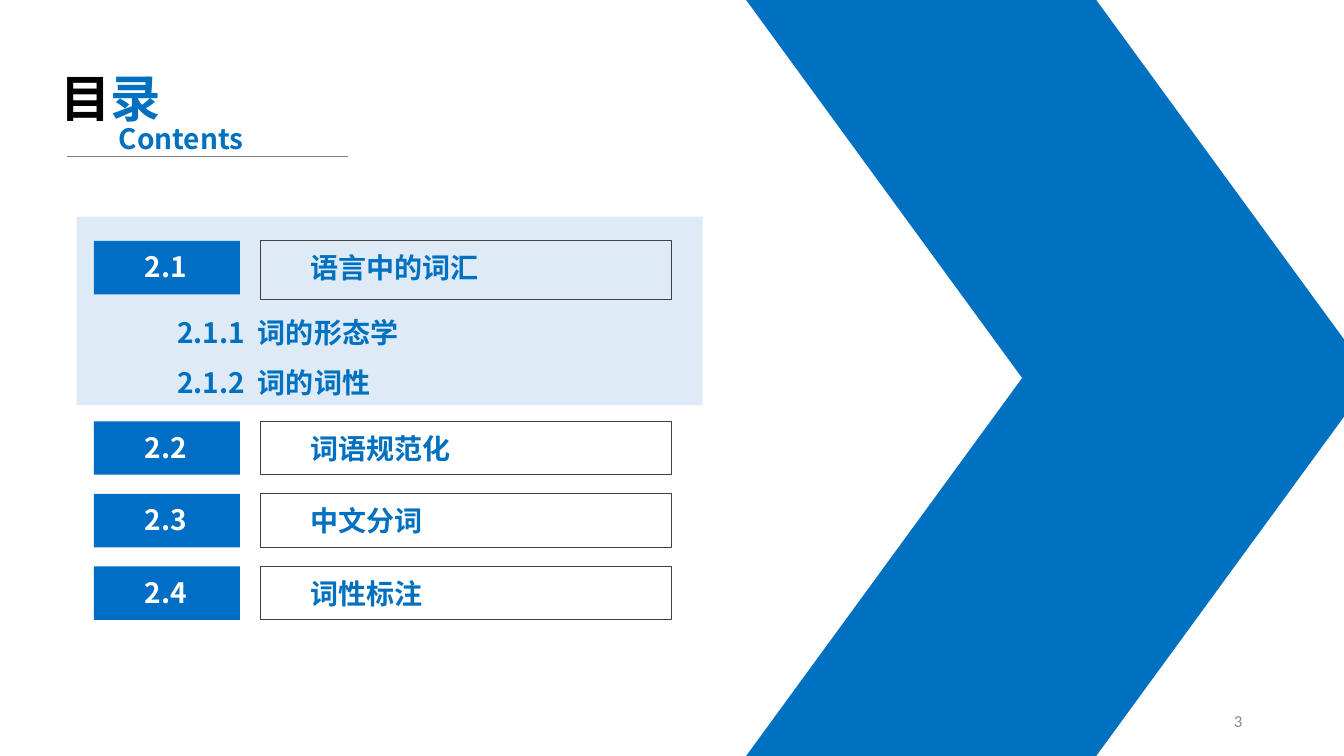
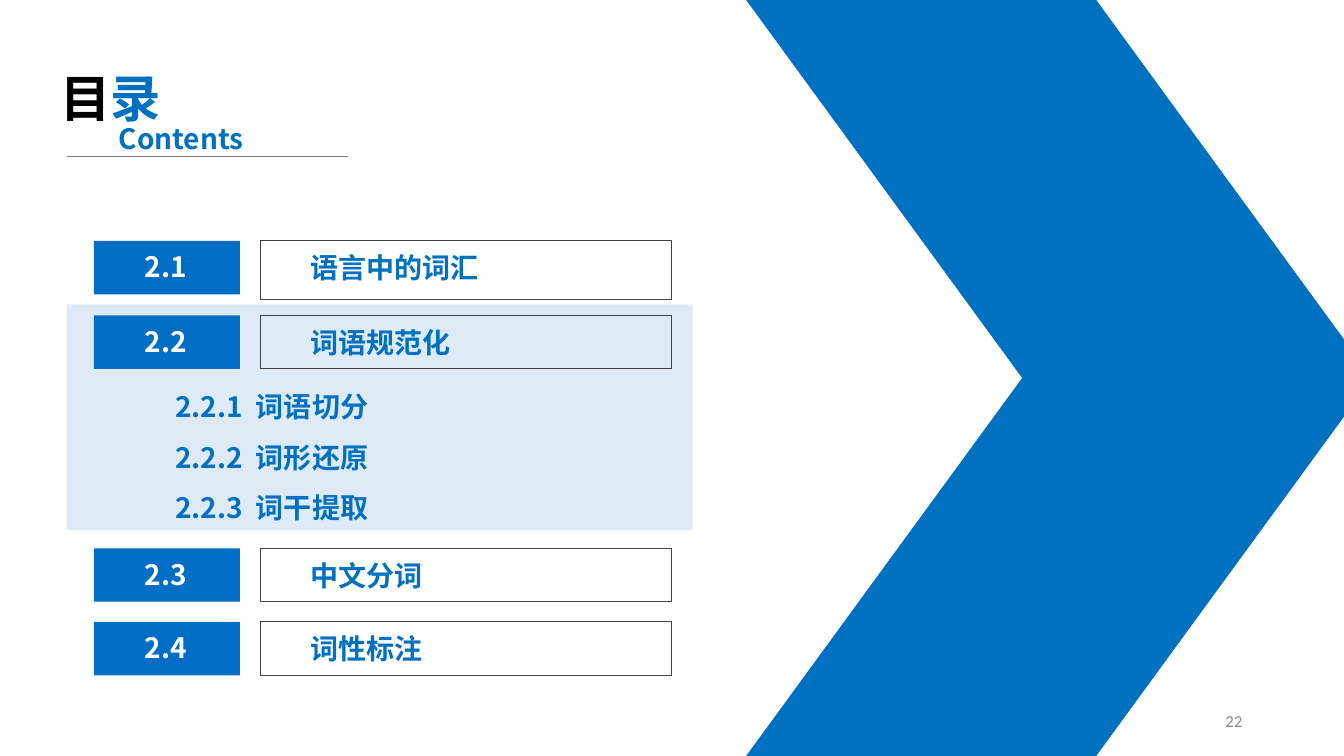
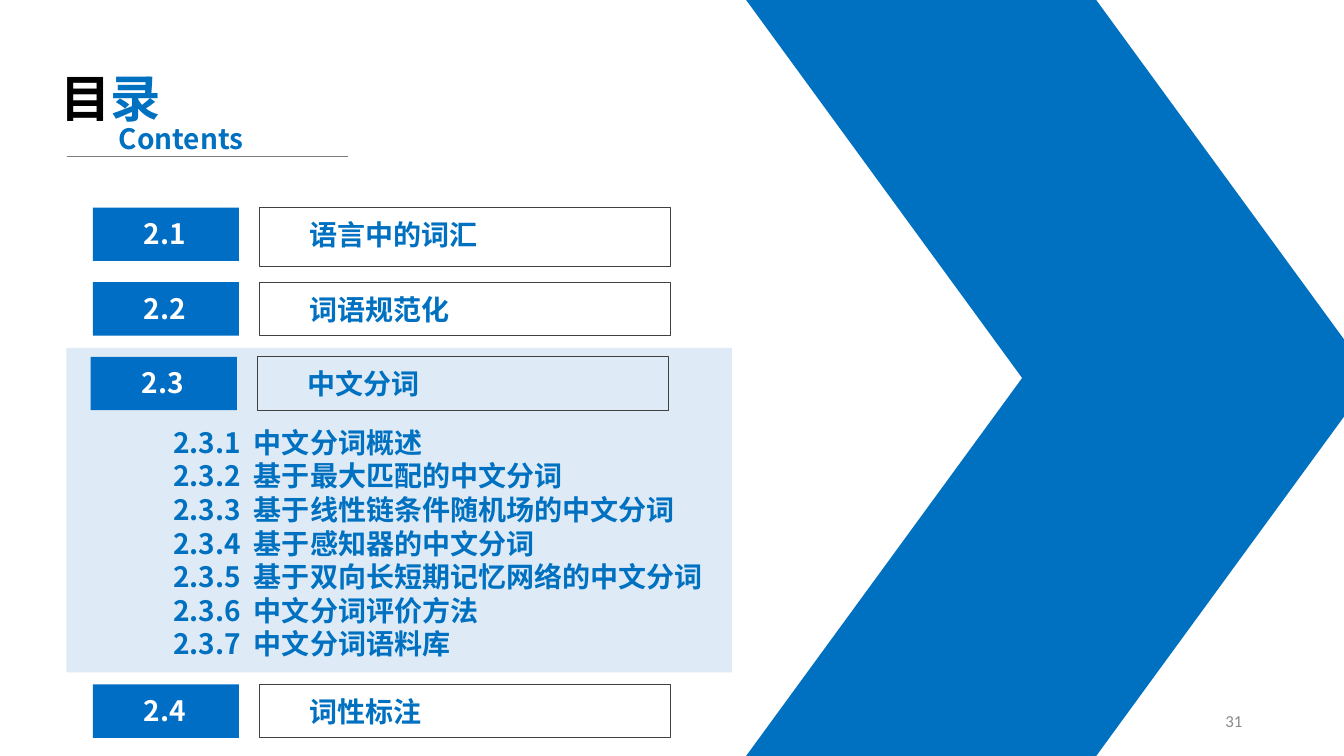
import pptx
import pptx.util
import pptx.dml.color
import pptx.enum.shapes
import pptx.enum.text
import pptx.oxml
import pptx.oxml.ns

PX = 9144  # EMU in one px, 100 px to the inch
FONT, NUMBER_FONT = "Noto Sans CJK SC", "Calibri"
COLORS = {
    "blue": "0070C0", "badge": "006EC5", "pale": "DEEBF7", "black": "000000",
    "white": "FFFFFF", "frame": "404040", "rule": "7F7F7F", "number": "898989",
}
CHAPTERS = ["语言中的词汇", "词语规范化", "中文分词", "词性标注"]
FRAME_HEIGHTS = [58, 53, 53, 53]
SHAPE = pptx.enum.shapes.MSO_SHAPE
ALIGN = pptx.enum.text.PP_ALIGN

# rows: left and top of each chapter; panel: box behind the open chapter
SLIDES = [
    {
        "page": 3, "panel": (76, 215, 621, 187),
        "rows": [(93, 239), (93, 418), (93, 490), (93, 562)],
        "chapter": 1, "sections": ["词的形态学", "词的词性"],
        "sections_at": (166, 291, 681, 105), "spacing": 1.5,
    },
    {
        "page": 22, "panel": (66, 302, 621, 224),
        "rows": [(93, 239), (93, 313), (93, 544), (93, 617)],
        "chapter": 2, "sections": ["词语切分", "词形还原", "词干提取"],
        "sections_at": (164, 365, 681, 156), "spacing": 1.5,
    },
    {
        "page": 31, "panel": (66, 345, 660, 322),
        "rows": [(92, 206), (92, 280), (90, 354), (92, 679)],
        "chapter": 3,
        "sections": [
            "中文分词概述", "基于最大匹配的中文分词", "基于线性链条件随机场的中文分词",
            "基于感知器的中文分词", "基于双向长短期记忆网络的中文分词",
            "中文分词评价方法", "中文分词语料库",
        ],
        "sections_at": (162, 417, 681, 246), "spacing": None,
    },
]


def emu(*lengths):
    return [pptx.util.Emu(n * PX) for n in lengths]


def rgb(color):
    return pptx.dml.color.RGBColor.from_string(COLORS[color])


def add_box(s, box, fill=None, line=None, kind=SHAPE.RECTANGLE):
    sp = s.shapes.add_shape(kind, *emu(*box))
    sp.shadow.inherit = False
    if fill:
        sp.fill.solid()
        sp.fill.fore_color.rgb = rgb(fill)
    else:
        sp.fill.background()
    if line:
        sp.line.color.rgb = rgb(line)
        sp.line.width = pptx.util.Pt(0.75)
    else:
        sp.line.fill.background()
    return sp


def style_run(r, color, size, font, bold):
    r.font.size = pptx.util.Pt(size)
    r.font.bold = bold
    r.font.name = font
    r.font.color.rgb = rgb(color)
    ea = pptx.oxml.parse_xml(f'<a:ea {pptx.oxml.ns.nsdecls("a")} typeface="{font}"/>')
    r.font._element.find(pptx.oxml.ns.qn("a:latin")).addnext(ea)


def add_text(s, box, text, color="blue", size=20, align=ALIGN.LEFT, font=FONT, bold=True):
    sp = s.shapes.add_textbox(*emu(*box))
    tf = sp.text_frame
    tf.word_wrap = True
    tf.text = text
    for p in tf.paragraphs:
        p.alignment = align
        for r in p.runs:
            style_run(r, color, size, font, bold)
    return tf


def add_chevron(s, left, top, width, half_height):
    """Two mirrored parallelograms that meet in a point on the right."""
    for y, flipped in ((top + half_height, False), (top, True)):
        sp = add_box(s, (left, y, width, half_height), "blue", kind=SHAPE.PARALLELOGRAM)
        sp.adjustments[0] = 0.73
        if flipped:
            sp._element.spPr.xfrm.set("flipV", "1")


def add_heading(s, left, top):
    tf = add_text(s, (left, top, 157, 71), "目", "black", 36)
    r = tf.paragraphs[0].add_run()
    r.text = "录"
    style_run(r, "blue", 36, FONT, True)
    y = top + 93
    rule = s.shapes.add_connector(
        pptx.enum.shapes.MSO_CONNECTOR.STRAIGHT, *emu(left + 16, y, left + 295, y))
    rule.line.color.rgb = rgb("rule")
    rule.line.width = pptx.util.Pt(0.5)
    rule._element.spPr.append(
        pptx.oxml.parse_xml(f'<a:effectLst {pptx.oxml.ns.nsdecls("a")}/>'))
    add_text(s, (left + 58, top + 54, 157, 44), "Contents")


def add_chapter(s, left, top, frame_height, number, title):
    add_box(s, (left + 165, top, 408, frame_height), line="frame")
    add_text(s, (left + 205, top + 5, 368, 44), title)
    add_box(s, (left, top, 145, 53), "badge")
    add_text(s, (left + 19, top + 4, 105, 44), number, "white", align=ALIGN.CENTER)


def add_sections(s, box, chapter, sections, spacing):
    lines = [f"2.{chapter}.{i}\t{name}" for i, name in enumerate(sections, 1)]
    tf = add_text(s, box, "\n".join(lines))
    for p in tf.paragraphs:
        if spacing:
            p.line_spacing = spacing
        tabs = pptx.oxml.parse_xml(
            f'<a:tabLst {pptx.oxml.ns.nsdecls("a")}><a:tab pos="{80 * PX}" algn="l"/></a:tabLst>')
        p._p.get_or_add_pPr().append(tabs)


def add_page_number(s, box, page):
    tf = add_text(s, box, str(page), "number", 12, ALIGN.RIGHT, NUMBER_FONT, False)
    tf.vertical_anchor = pptx.enum.text.MSO_ANCHOR.MIDDLE


def add_contents_slide(prs, page, panel, rows, chapter, sections, sections_at, spacing):
    s = prs.slides.add_slide(prs.slide_layouts[6])
    add_box(s, panel, "pale")
    add_chevron(s, 740, 0, 621, 375)
    for i, ((left, top), height, title) in enumerate(zip(rows, FRAME_HEIGHTS, CHAPTERS), 1):
        add_chapter(s, left, top, height, f"2.{i}", title)
    add_heading(s, 50, 62)
    add_page_number(s, (942, 695, 300, 40), page)
    add_sections(s, sections_at, chapter, sections, spacing)


def main():
    prs = pptx.Presentation()
    prs.slide_width, prs.slide_height = emu(1333, 750)
    for slide in SLIDES:
        add_contents_slide(prs, **slide)
    prs.save("out.pptx")


if __name__ == "__main__":
    main()
